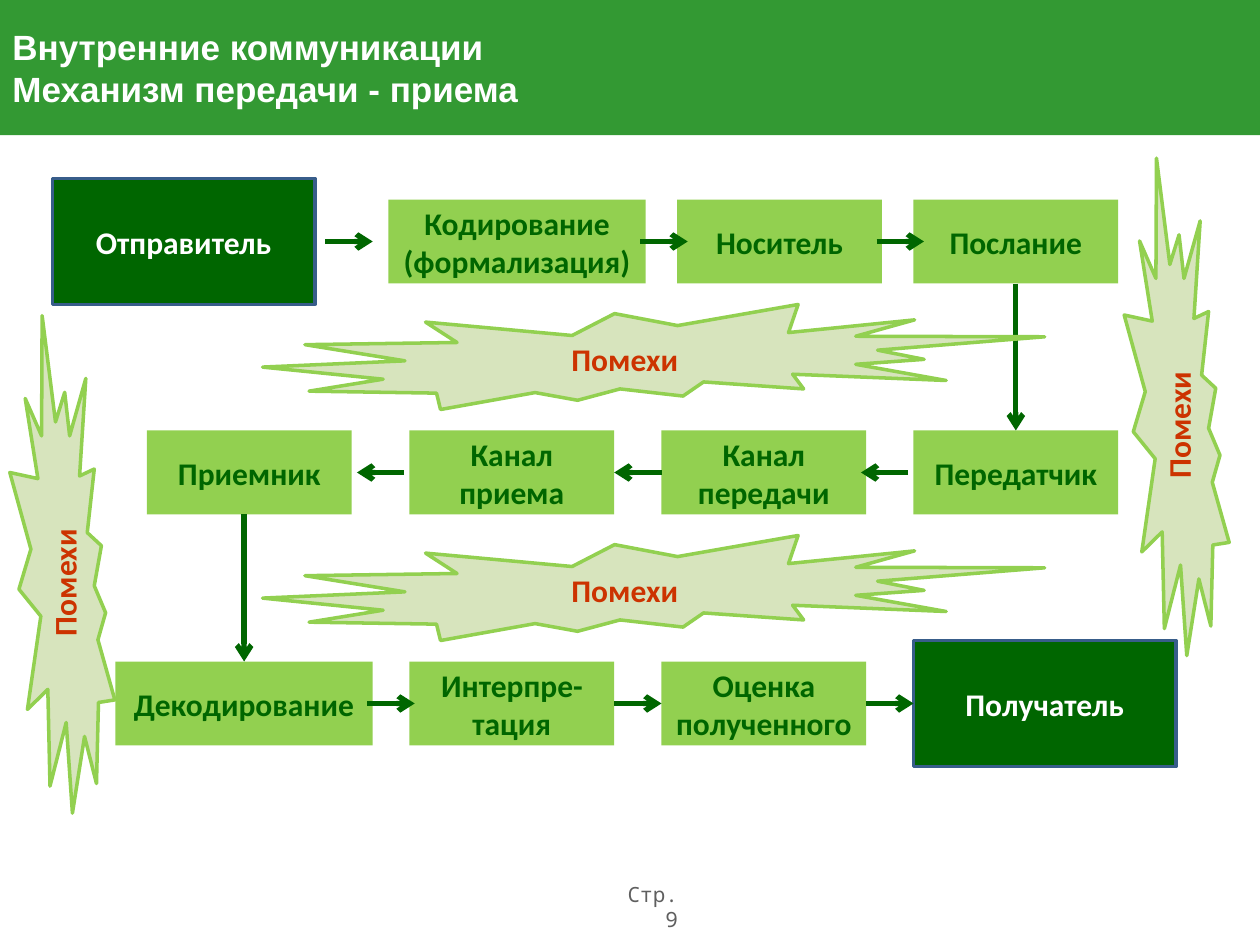
import pptx
import pptx.util
from lxml import etree
from pptx.dml.color import RGBColor
from pptx.enum.shapes import MSO_CONNECTOR, MSO_SHAPE
from pptx.enum.text import MSO_ANCHOR, PP_ALIGN
from pptx.oxml.ns import qn

PX = 9525  # EMU in one px, 96 px to the inch

HEADER = RGBColor(0x33, 0x99, 0x33)
DARK = RGBColor(0x00, 0x66, 0x00)
LIGHT = RGBColor(0x92, 0xD0, 0x50)
PALE = RGBColor(0xD7, 0xE4, 0xBD)
BORDER = RGBColor(0x38, 0x5D, 0x8A)
RED = RGBColor(0xCC, 0x33, 0x00)
GREY = RGBColor(0x5F, 0x5F, 0x5F)
WHITE = RGBColor(0xFF, 0xFF, 0xFF)

STEP_W, STEP_H = 156, 64
WIDE_W = 196
END_W, END_H = 200, 96
ARROW = 36
TOP, BOTTOM, LEFT, RIGHT = 0, 2, 1, 3


def px(*values):
    return [v * PX for v in values]


def write(tf, text, color, align=PP_ALIGN.CENTER, wrap=True, **fmt):
    tf.word_wrap = wrap
    p = tf.paragraphs[0]
    p.text = text
    p.alignment = align
    fmt = {"name": "Calibri", "size": 18, "bold": True, **fmt}
    fmt["size"] = pptx.util.Pt(fmt["size"])
    for r in p.runs:
        r.font.color.rgb = color
        for key, value in fmt.items():
            setattr(r.font, key, value)


def shape(s, kind, box, fill, line=None):
    sp = s.shapes.add_shape(kind, *px(*box))
    sp.shadow.inherit = False
    sp.fill.solid()
    sp.fill.fore_color.rgb = fill
    if line is None:
        sp.line.fill.background()
    else:
        sp.line.color.rgb = line
        sp.line.width = pptx.util.Pt(2)
    sp.text_frame.vertical_anchor = MSO_ANCHOR.MIDDLE
    return sp


def arrow(s, x1, y1, x2, y2, start=None, end=None):
    """Arrow between two points; start and end are (shape, side) pairs."""
    c = s.shapes.add_connector(MSO_CONNECTOR.STRAIGHT, *px(x1, y1, x2, y2))
    c.line.color.rgb = DARK
    c.line.width = pptx.util.Pt(3)
    etree.SubElement(c.line._get_or_add_ln(), qn("a:tailEnd"), type="arrow")
    etree.SubElement(c._element.spPr, qn("a:effectLst"))
    if start:
        c.begin_connect(*start)
    if end:
        c.end_connect(*end)


def header(s, box):
    sp = shape(s, MSO_SHAPE.RECTANGLE, box, HEADER)
    write(sp.text_frame, "Внутренние коммуникации\nМеханизм передачи - приема",
          WHITE, PP_ALIGN.LEFT, wrap=False, name="Arial", size=20)


def page_number(s, box):
    tf = s.shapes.add_textbox(*px(*box)).text_frame
    write(tf, "Стр. 9", GREY, PP_ALIGN.RIGHT,
          name="Noto Sans Mono", size=12, bold=False)


def step(s, text, x, mid, w=STEP_W):
    sp = shape(s, MSO_SHAPE.RECTANGLE, (x, mid - STEP_H // 2, w, STEP_H), LIGHT)
    write(sp.text_frame, text, DARK)
    return sp


def endpoint(s, text, x, mid):
    sp = shape(s, MSO_SHAPE.RECTANGLE, (x, mid - END_H // 2, END_W, END_H),
               DARK, BORDER)
    write(sp.text_frame, text, WHITE)
    return sp


def noise(s, box, rotation=0):
    sp = shape(s, MSO_SHAPE.EXPLOSION2, box, PALE, LIGHT)
    sp.rotation = rotation
    write(sp.text_frame, "Помехи", RED)


def process(s, box):
    """Three rows of steps, linked left, right and left again."""
    x, y, row_gap = box[0], box[1], 176
    rows = [y + END_H // 2 + row_gap * i for i in range(3)]
    col2, col3, col4 = x + 272, x + 464, x + 656

    # Sending
    endpoint(s, "Отправитель", x, rows[0])
    step(s, "Кодирование\n(формализация)", x + 256, rows[0], WIDE_W)
    step(s, "Носитель", x + 476, rows[0])
    message = step(s, "Послание", col4, rows[0])

    # Transfer
    transmitter = step(s, "Передатчик", col4, rows[1])
    out_channel = step(s, "Канал передачи", col3, rows[1])
    in_channel = step(s, "Канал приема", col2, rows[1])
    step(s, "Приемник", x + 72, rows[1])

    # Receiving
    decoding = step(s, "Декодирование", x + 48, rows[2], WIDE_W)
    reading = step(s, "Интерпре-тация", col2, rows[2])
    rating = step(s, "Оценка полученного", col3, rows[2])
    receiver = endpoint(s, "Получатель", col4, rows[2])

    # Short arrows: row, start offset, direction, joined ends
    links = [
        (0, 208, 1, None, None),
        (0, 448, 1, None, None),
        (0, 628, 1, None, None),
        (1, 652, -1, None, None),
        (1, 464, -1, (out_channel, LEFT), (in_channel, RIGHT)),
        (1, 268, -1, None, None),
        (2, 240, 1, None, None),
        (2, 428, 1, (reading, RIGHT), (rating, LEFT)),
        (2, 620, 1, (rating, RIGHT), (receiver, LEFT)),
    ]
    for row, dx, way, start, end in links:
        arrow(s, x + dx, rows[row], x + dx + way * ARROW, rows[row], start, end)

    # Arrows between rows
    half = STEP_H // 2
    turn = col4 + STEP_W // 2
    arrow(s, turn, rows[0] + half, turn, rows[1] - half,
          (message, BOTTOM), (transmitter, TOP))
    turn = x + 48 + WIDE_W // 2
    arrow(s, turn, rows[1] + half, turn, rows[2] - half, end=(decoding, TOP))

    # Noise between the rows
    for mid in (rows[1], rows[0]):
        noise(s, (x + 160, mid + 48, 596, 80))


def side_noise(s):
    for x, y in ((-142, 390), (707, 270)):
        noise(s, (x, y, 379, 80), 270)


def main():
    prs = pptx.Presentation()
    prs.slide_width, prs.slide_height = px(960, 720)
    s = prs.slides.add_slide(prs.slide_layouts[6])
    page_number(s, (458, 667, 68, 32))
    header(s, (0, 0, 960, 103))
    process(s, (40, 136, 856, 448))
    side_noise(s)
    prs.save("out.pptx")


if __name__ == "__main__":
    main()
